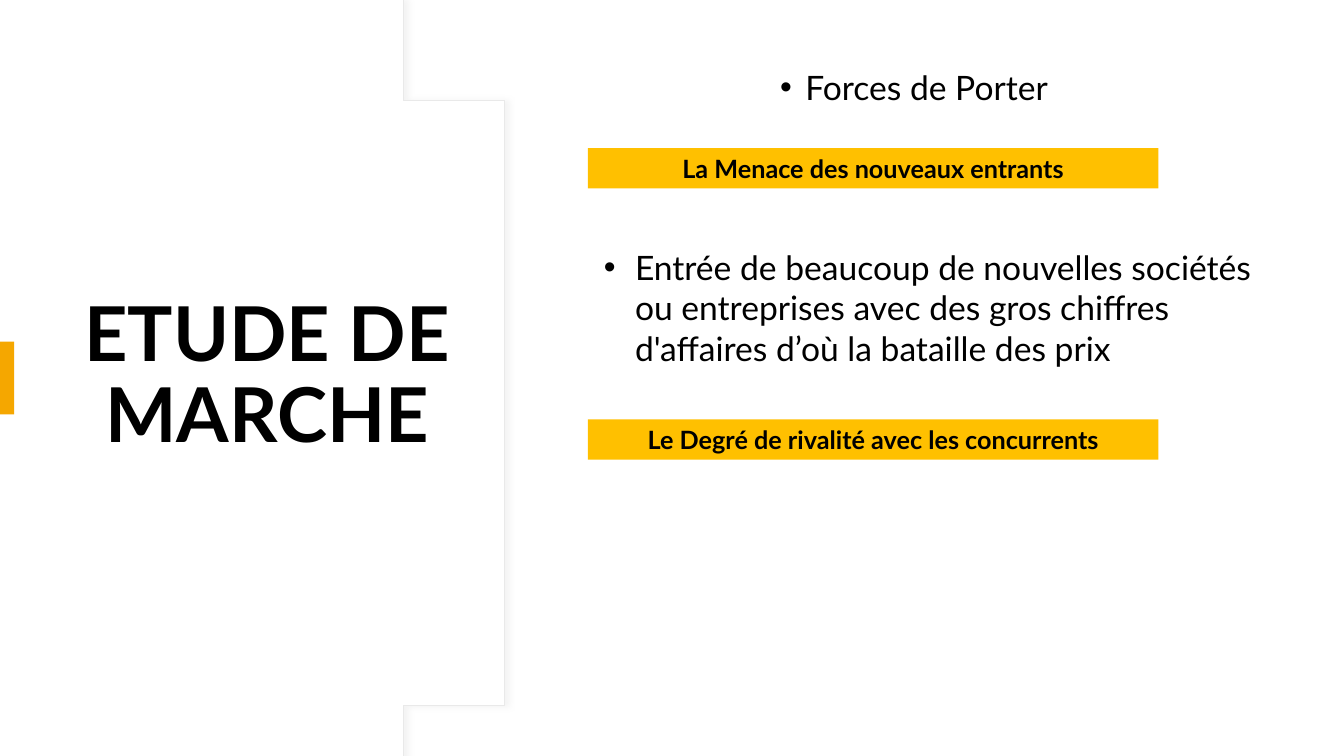
import pptx
import pptx.dml.color
import pptx.enum.shapes
import pptx.enum.text
import pptx.oxml
import pptx.oxml.ns
import pptx.util
from pptx.util import Inches

ALIGN = pptx.enum.text.PP_ALIGN
ANCHOR = pptx.enum.text.MSO_ANCHOR
CURVE_STEPS = 40
BANNERS = [
    (1.47, "La Menace des nouveaux entrants"),
    (4.16, "Le Degré de rivalité avec les concurrents"),
]


def rgb(hex_code):
    return pptx.dml.color.RGBColor.from_string(hex_code)


def set_text(shape, text, size, bold=False, indent=0, **paragraph_format):
    """Write one paragraph; a positive indent gives it a hanging bullet."""
    frame = shape.text_frame
    frame.word_wrap = True
    paragraph = frame.paragraphs[0]
    if indent:
        properties = paragraph._p.get_or_add_pPr()
        properties.set("marL", str(Inches(indent)))
        properties.set("indent", str(-Inches(indent)))
        for tag, key, value in (("buFont", "typeface", "Arial"), ("buChar", "char", "•")):
            bullet_part = pptx.oxml.ns.qn(f"a:{tag}")
            properties.append(properties.makeelement(bullet_part, {key: value}))
    for name, value in paragraph_format.items():
        setattr(paragraph, name, value)
    run = paragraph.add_run()
    run.text = text
    run.font.color.rgb = rgb("000000")
    font_format = {"name": "Lato", "size": pptx.util.Pt(size), "bold": bold}
    for name, value in font_format.items():
        setattr(run.font, name, value)


def add_text(slide, box, text, size, anchor=ANCHOR.TOP, **text_format):
    text_box = slide.shapes.add_textbox(*map(Inches, box))
    set_text(text_box, text, size, **text_format)
    text_box.text_frame.vertical_anchor = anchor


def add_block(slide, box, color):
    block = slide.shapes.add_shape(
        pptx.enum.shapes.MSO_SHAPE.RECTANGLE, *map(Inches, box))
    block.shadow.inherit = False
    block.fill.solid()
    block.fill.fore_color.rgb = rgb(color)
    block.line.fill.background()
    return block


def bezier(points):
    """Sample a cubic curve, leaving out its start."""
    for step in range(1, CURVE_STEPS + 1):
        t = step / CURVE_STEPS
        weights = ((1 - t) ** 3, 3 * t * (1 - t) ** 2, 3 * t * t * (1 - t), t ** 3)
        yield tuple(sum(w * p[axis] for w, p in zip(weights, points)) for axis in (0, 1))


def add_title_panel(slide):
    """White panel whose right edge bulges, with a soft shadow."""
    upper = [(4.01, 0.08), (4.79, 1.02), (5.27, 2.32), (5.27, 3.75)]
    lower = [(x, 7.5 - y) for x, y in reversed(upper)]
    outline = [(3.94, 0), upper[0], *bezier(upper), *bezier(lower), (3.94, 7.5), (0, 7.5)]
    builder = slide.shapes.build_freeform(0, 0, scale=Inches(1))
    builder.add_line_segments(outline, close=True)
    panel = builder.convert_to_shape()
    panel.fill.solid()
    panel.fill.fore_color.rgb = rgb("FFFFFF")
    panel.line.color.rgb = rgb("E9E9E9")
    panel.line.width = pptx.util.Pt(0.75)
    panel.shadow.inherit = False
    effects = panel._element.spPr.find(pptx.oxml.ns.qn("a:effectLst"))
    effects.append(pptx.oxml.parse_xml(
        f'<a:outerShdw {pptx.oxml.ns.nsdecls("a")} blurRad="{pptx.util.Pt(4)}" '
        f'dist="{pptx.util.Pt(3)}" dir="0" algn="l" rotWithShape="0">'
        '<a:srgbClr val="D9D9D9"><a:alpha val="30000"/></a:srgbClr></a:outerShdw>'))


def main():
    presentation = pptx.Presentation()
    presentation.slide_width = Inches(13.33)
    presentation.slide_height = Inches(7.5)
    slide = presentation.slides.add_slide(presentation.slide_layouts[6])

    add_title_panel(slide)
    add_text(slide, (0.68, 1.27, 3.94, 4.95), "ETUDE DE MARCHE", 54, ANCHOR.MIDDLE,
             bold=True, alignment=ALIGN.CENTER, line_spacing=0.9)
    add_block(slide, (0, 3.39, 0.14, 0.72), "F5A700")
    add_text(slide, (5.83, 0.46, 6.47, 0.77), "Forces de Porter", 24, ANCHOR.MIDDLE,
             indent=0.25, alignment=ALIGN.CENTER, line_spacing=1.1)
    for top, heading in BANNERS:
        banner = add_block(slide, (5.83, top, 5.66, 0.4), "FFC000")
        set_text(banner, heading, 18, bold=True, alignment=ALIGN.CENTER)
    add_text(slide, (5.89, 2.4, 7.03, 1.31),
             "Entrée de beaucoup de nouvelles sociétés ou entreprises avec des gros "
             "chiffres d'affaires d’où la bataille des prix", 24, indent=0.31)
    presentation.save("out.pptx")


if __name__ == "__main__":
    main()
